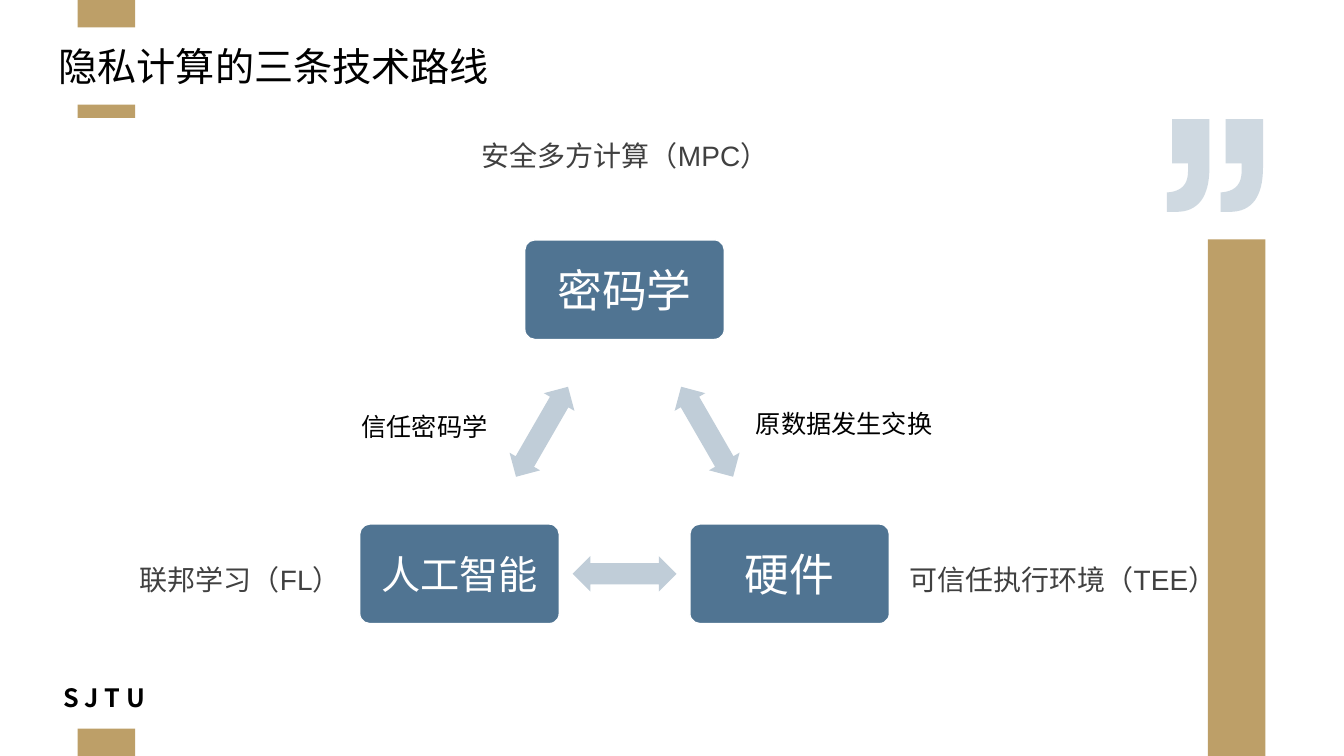
from dataclasses import dataclass
from math import atan2, degrees

from lxml.etree import SubElement
from pptx import Presentation
from pptx.dml.color import RGBColor
from pptx.enum.shapes import MSO_SHAPE as Preset
from pptx.enum.text import MSO_ANCHOR as Anchor, MSO_AUTO_SIZE as AutoSize, PP_ALIGN as Align
from pptx.oxml.ns import qn
from pptx.shapes.autoshape import Shape
from pptx.slide import Slide
from pptx.text.text import TextFrame
from pptx.util import Cm, Pt

COLORS = {
    "gold": "BD9F68",
    "navy": "063A65",
    "mist": "C0CDD8",
    "white": "FFFFFF",
    "black": "000000",
    "gray": "404040",
}
CJK_FONT = "Noto Sans CJK SC"
BOX_WIDTH, BOX_HEIGHT = 5.03, 2.51
ARROW_WIDTH, ARROW_HEIGHT = 2.62, 0.89


@dataclass(frozen=True)
class Bar:
    left: float
    top: float
    height: float
    width: float = 1.45


@dataclass(frozen=True)
class Route:
    name: str
    center_x: float
    center_y: float
    size: int = 32


@dataclass(frozen=True)
class Label:
    text: str
    left: float
    top: float
    width: float
    height: float
    size: int = 20
    font: str = "Arial"
    color: str = "gray"
    align: Align = Align.CENTER
    line_spacing: float = 1.3
    bold: bool = False
    anchor: Anchor = Anchor.TOP
    inset: bool = True


BARS = [
    Bar(1.96, 2.64, 0.33),
    Bar(1.96, 0, 0.69),
    Bar(1.96, 18.36, 0.69),
    Bar(30.44, 6.03, 13.02),
]
ROUTES = [
    Route("密码学", 15.74, 7.3),
    Route("硬件", 19.9, 14.46),
    Route("人工智能", 11.58, 14.46, 28),
]
PLAIN = {"size": 18, "font": "Calibri", "color": "black", "align": Align.LEFT, "line_spacing": 1}
LABELS = [
    Label("S J T U", 1.6, 17.27, 2.16, 0.69, 18, CJK_FONT, "black", Align.LEFT, 0.9,
          bold=True, anchor=Anchor.BOTTOM, inset=False),
    Label("联邦学习（FL）", 1.52, 13.79, 9.07, 1.37),
    Label("可信任执行环境（TEE）", 22.25, 13.79, 9.07, 1.37),
    Label("安全多方计算（MPC）", 7.24, 3.12, 17.02, 1.37),
    Label("信任密码学", 8.86, 10.24, 6.4, 1.02, **PLAIN),
    Label("原数据发生交换", 18.8, 10.16, 5.97, 1.02, **PLAIN),
]


def paint(shape: Shape, color: str, opacity: int = 100) -> None:
    shape.shadow.inherit = False
    shape.line.fill.background()
    shape.fill.solid()
    shape.fill.fore_color.rgb = RGBColor.from_string(COLORS[color])
    if opacity < 100:
        color_element = shape.fill._xPr.find(qn("a:solidFill"))[0]
        SubElement(color_element, qn("a:alpha"), val=str(opacity * 1000))


def write(frame: TextFrame, text: str, size: int, color: str, align: Align,
          font: str = CJK_FONT, bold: bool = False) -> None:
    paragraph = frame.paragraphs[0]
    paragraph.alignment = align
    run = paragraph.add_run()
    run.text = text
    run.font.size = Pt(size)
    run.font.bold = bold
    run.font.name = font
    run.font.color.rgb = RGBColor.from_string(COLORS[color])
    SubElement(run.font._element, qn("a:ea"), typeface=CJK_FONT)


def set_insets(frame: TextFrame, inset: float) -> None:
    frame.margin_left = frame.margin_right = Cm(inset)
    frame.margin_top = frame.margin_bottom = Cm(inset)


def add_title(slide: Slide, text: str) -> None:
    title = slide.shapes.title
    title.left, title.top, title.width, title.height = Cm(1.22), Cm(0.94), Cm(30.68), Cm(1.45)
    title.text_frame.auto_size = AutoSize.NONE
    title.text_frame.vertical_anchor = Anchor.TOP
    write(title.text_frame, text, 28, "black", Align.LEFT)


def add_bar(slide: Slide, bar: Bar) -> None:
    shape = slide.shapes.add_shape(
        Preset.RECTANGLE, Cm(bar.left), Cm(bar.top), Cm(bar.width), Cm(bar.height))
    paint(shape, "gold")


def curve(*controls: tuple[float, float], steps: int = 16) -> list[tuple[float, float]]:
    """Points along a cubic curve given by its four control points."""
    points = []
    for step in range(steps + 1):
        t = step / steps
        weights = ((1 - t) ** 3, 3 * t * (1 - t) ** 2, 3 * t * t * (1 - t), t ** 3)
        points.append(tuple(sum(w * c[axis] for w, c in zip(weights, controls))
                            for axis in (0, 1)))
    return points


def add_quote_marks(slide: Slide, left: float, top: float, pitch: float) -> None:
    outline = [
        (0.13, 0), (1.07, 0),
        *curve((1.07, 1.22), (1.07, 1.96), (0.79, 2.34), (0.23, 2.34)),
        (0, 2.34),
        *curve((0, 1.85), (0.36, 1.83), (0.53, 1.65), (0.53, 1.32)),
        (0.53, 1.12), (0.13, 1.12),
    ]
    first, second = (
        [(Cm(left + shift + x), Cm(top + y)) for x, y in outline] for shift in (0, pitch))
    builder = slide.shapes.build_freeform(*first[0])
    builder.add_line_segments(first[1:])
    builder.move_to(*second[0])
    builder.add_line_segments(second[1:])
    paint(builder.convert_to_shape(), "mist", 75)


def add_centered(slide: Slide, preset: Preset, center_x: float, center_y: float,
                 width: float, height: float) -> Shape:
    return slide.shapes.add_shape(
        preset, Cm(center_x - width / 2), Cm(center_y - height / 2), Cm(width), Cm(height))


def add_route(slide: Slide, route: Route) -> None:
    box = add_centered(slide, Preset.ROUNDED_RECTANGLE, route.center_x, route.center_y,
                       BOX_WIDTH, BOX_HEIGHT)
    box.adjustments[0] = 0.1
    paint(box, "navy", 70)
    box.line.color.rgb = RGBColor.from_string(COLORS["white"])
    box.line.width = Pt(1)
    box.text_frame.word_wrap = True
    box.text_frame.vertical_anchor = Anchor.MIDDLE
    set_insets(box.text_frame, 0.32)
    write(box.text_frame, route.name, route.size, "white", Align.CENTER)


def add_arrow(slide: Slide, start: Route, end: Route) -> None:
    """Two-headed block arrow midway between two routes."""
    arrow = add_centered(slide, Preset.LEFT_RIGHT_ARROW,
                         (start.center_x + end.center_x) / 2,
                         (start.center_y + end.center_y) / 2, ARROW_WIDTH, ARROW_HEIGHT)
    arrow.adjustments[0], arrow.adjustments[1] = 0.6, 0.5
    arrow.rotation = round(degrees(
        atan2(end.center_y - start.center_y, end.center_x - start.center_x)))
    paint(arrow, "mist")


def add_label(slide: Slide, label: Label) -> None:
    frame = slide.shapes.add_textbox(
        Cm(label.left), Cm(label.top), Cm(label.width), Cm(label.height)).text_frame
    frame.word_wrap = True
    frame.vertical_anchor = label.anchor
    if not label.inset:
        set_insets(frame, 0)
    frame.paragraphs[0].line_spacing = label.line_spacing
    write(frame, label.text, label.size, label.color, label.align, label.font, label.bold)


def main() -> None:
    presentation = Presentation()
    presentation.slide_width, presentation.slide_height = Cm(33.87), Cm(19.05)
    slide = presentation.slides.add_slide(presentation.slide_layouts.get_by_name("Title Only"))
    add_title(slide, "隐私计算的三条技术路线")
    for bar in BARS:
        add_bar(slide, bar)
    add_quote_marks(slide, 29.41, 3, 1.35)
    for route, following in zip(ROUTES, ROUTES[1:] + ROUTES[:1]):
        add_route(slide, route)
        add_arrow(slide, route, following)
    for label in LABELS:
        add_label(slide, label)
    presentation.save("out.pptx")


if __name__ == "__main__":
    main()
